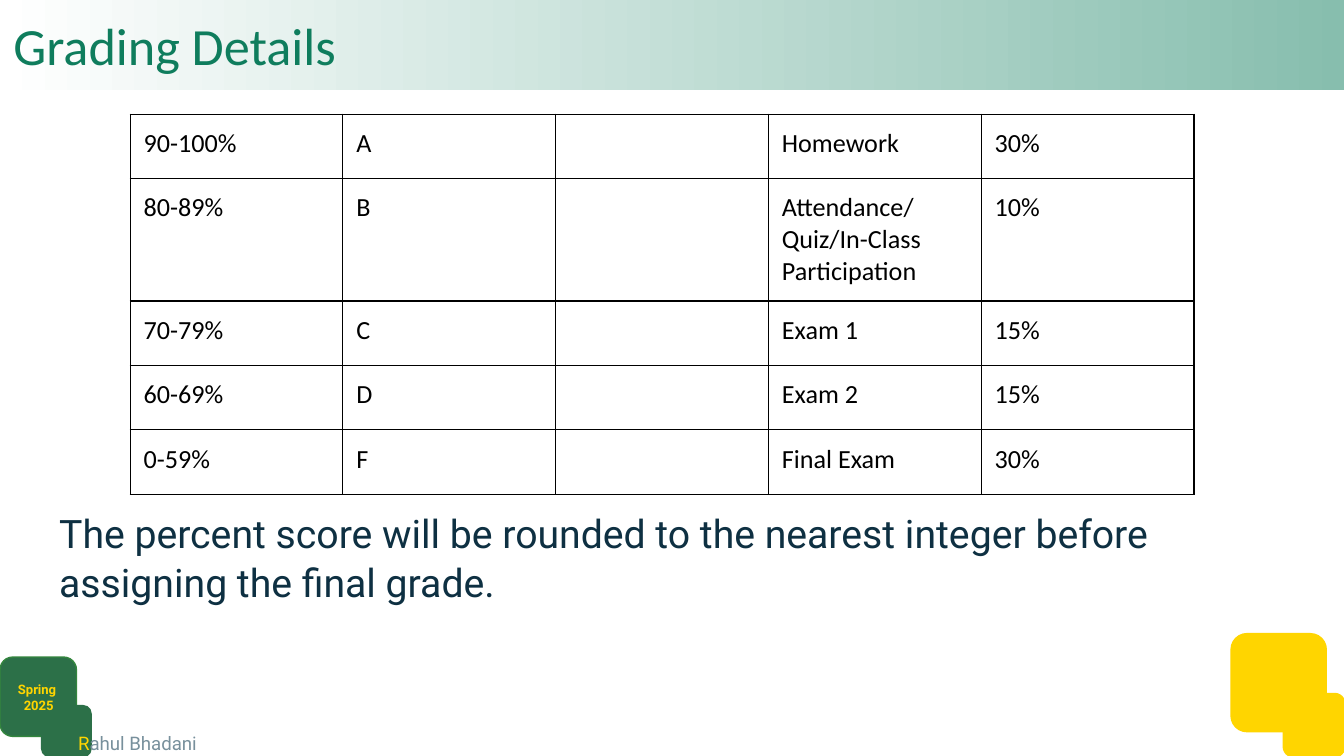
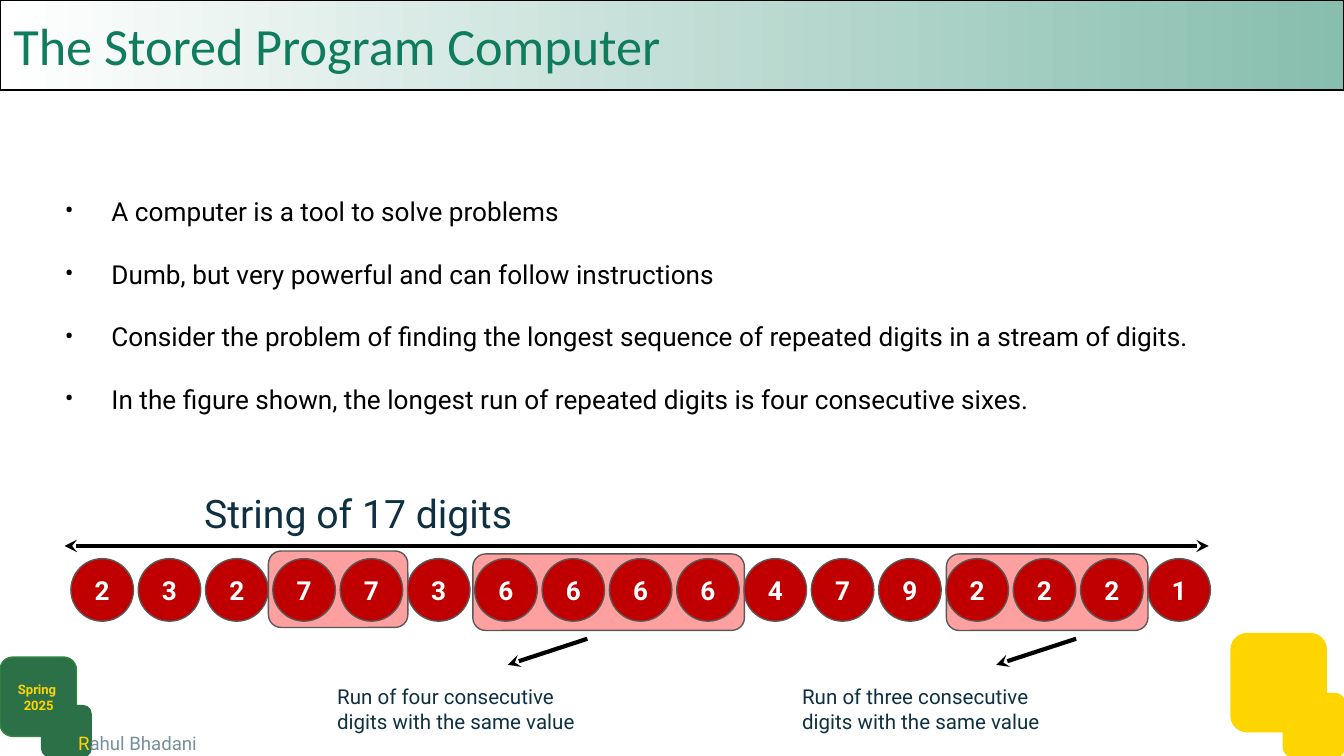
import copy
from dataclasses import dataclass
from typing import Any, NamedTuple, Optional

import lxml.etree
import pptx
import pptx.dml.color
import pptx.enum.shapes
import pptx.enum.text
import pptx.oxml.ns
import pptx.util

Pt = pptx.util.Pt
RGBColor = pptx.dml.color.RGBColor
MSO_SHAPE = pptx.enum.shapes.MSO_SHAPE
PP_ALIGN = pptx.enum.text.PP_ALIGN
MSO_ANCHOR = pptx.enum.text.MSO_ANCHOR
qn = pptx.oxml.ns.qn

GREEN = RGBColor(0x0F, 0x7D, 0x5D)
MINT = RGBColor(0x87, 0xBE, 0xAE)
LEAF = RGBColor(0x2C, 0x70, 0x48)
LEAF_EDGE = RGBColor(0x34, 0x86, 0x3E)
YELLOW = RGBColor(0xFF, 0xD5, 0x00)
SLATE = RGBColor(0x78, 0x90, 0x9C)
NAVY = RGBColor(0x0E, 0x30, 0x42)
PINK = RGBColor(0xFF, 0xA0, 0xA0)
RED = RGBColor(0xC0, 0x00, 0x00)
GREY = RGBColor(0x59, 0x59, 0x59)
BLACK = RGBColor(0, 0, 0)
WHITE = RGBColor(0xFF, 0xFF, 0xFF)

WIDTH, HEIGHT = 720, 405
INSET = Pt(7.2)


class Box(NamedTuple):
    left: float
    top: float
    width: float
    height: float

    def lengths(self) -> list[int]:
        return [Pt(v) for v in self]


@dataclass(frozen=True)
class TextStyle:
    size: float
    color: RGBColor
    name: str = "Roboto"
    bold: bool = False


@dataclass(frozen=True)
class Panel:
    box: Box
    kind: Any
    fill: RGBColor
    line: RGBColor


@dataclass(frozen=True)
class Callout:
    text: str
    box: Box
    start: tuple[float, float]
    end: tuple[float, float]


TITLE_BOX = Box(0, 0, WIDTH, 48.24)
TITLE = TextStyle(28, GREEN, "Calibri")
CELL = TextStyle(14, BLACK, "Calibri")
LEAD = TextStyle(21, NAVY)
BULLET = TextStyle(14, BLACK)
NOTE = TextStyle(11, NAVY)
DIGIT = TextStyle(14, WHITE, bold=True)
TERM = TextStyle(7, YELLOW, bold=True)
INITIAL = TextStyle(10, YELLOW)
AUTHOR = TextStyle(10, SLATE)

TILE = MSO_SHAPE.FLOWCHART_ALTERNATE_PROCESS
YELLOW_TILES = [
    Panel(Box(659.5, 339.5, 51, 52.5), TILE, YELLOW, YELLOW),
    Panel(Box(687.5, 371.5, 33, 34), TILE, YELLOW, YELLOW),
]
GREEN_TILES = [
    Panel(Box(0, 352, 41, 42.5), TILE, LEAF, LEAF_EDGE),
    Panel(Box(22.3, 378, 26.5, 27.4), TILE, LEAF, LEAF),
]

GRADES = [
    ("90-100%", "A", "", "Homework", "30%"),
    ("80-89%", "B", "", "Attendance/Quiz/In-Class Participation", "10%"),
    ("70-79%", "C", "", "Exam 1", "15%"),
    ("60-69%", "D", "", "Exam 2", "15%"),
    ("0-59%", "F", "", "Final Exam", "30%"),
]
ROW_HEIGHTS = [34.5, 65.4, 34.5, 34.5, 34.5]
COLUMN_WIDTH = 114

POINTS = [
    "A computer is a tool to solve problems",
    "Dumb, but very powerful and can follow instructions",
    "Consider the problem of finding the longest sequence of repeated digits "
    "in a stream of digits.",
    "In the figure shown, the longest run of repeated digits is four "
    "consecutive sixes.",
]
DIGITS = "23277366664792221"
DIGIT_LEFT, DIGIT_TOP, DIGIT_SIZE, DIGIT_PITCH = 38, 299.3, 33.5, 36.06
RUN_BOXES = [
    Box(507, 296.8, 108, 41),
    Box(253.3, 296.8, 145.5, 41),
    Box(143.8, 295.2, 74.7, 41),
]
CALLOUTS = [
    Callout("Run of four consecutive digits with the same value",
            Box(173.5, 359.3, 156, 29), (314.7, 342.2), (272, 356.2)),
    Callout("Run of three consecutive digits with the same value",
            Box(422.6, 359.3, 156, 29), (576.5, 342.2), (533.7, 356.2)),
]


def set_format(obj: Any, values: dict[str, Any]) -> None:
    for name, value in values.items():
        setattr(obj, name, value)


def add_run(p: Any, text: str, style: TextStyle) -> None:
    r = p.add_run()
    r.text = text
    set_format(r.font, {"size": Pt(style.size), "name": style.name, "bold": style.bold})
    r.font.color.rgb = style.color


def prepare_frame(sp: Any, anchor: Any = MSO_ANCHOR.TOP) -> Any:
    tf = sp.text_frame
    set_format(tf, {
        "word_wrap": True, "auto_size": pptx.enum.text.MSO_AUTO_SIZE.NONE,
        "vertical_anchor": anchor, "margin_left": INSET, "margin_right": INSET,
        "margin_top": INSET, "margin_bottom": INSET,
    })
    return tf


def place(sp: Any, box: Box) -> None:
    set_format(sp, dict(zip(("left", "top", "width", "height"), box.lengths())))


def add_panel(shapes: Any, panel: Panel) -> Any:
    sp = shapes.add_shape(panel.kind, *panel.box.lengths())
    sp.shadow.inherit = False
    sp.fill.solid()
    sp.fill.fore_color.rgb = panel.fill
    sp.line.color.rgb = panel.line
    sp.line.width = Pt(0.75)
    return sp


def add_label(shapes: Any, box: Box, *runs: tuple[str, TextStyle]) -> Any:
    tf = prepare_frame(shapes.add_textbox(*box.lengths()))
    for text, style in runs:
        add_run(tf.paragraphs[0], text, style)
    return tf


def add_arrow(s: Any, start: tuple[float, float], end: tuple[float, float],
              both_ends: bool = False) -> None:
    ends = [Pt(v) for v in (*start, *end)]
    line = s.shapes.add_connector(pptx.enum.shapes.MSO_CONNECTOR.STRAIGHT, *ends)
    line.line.color.rgb = BLACK
    line.line.width = Pt(2.25)
    ln = line.element.find(".//" + qn("a:ln"))
    for tag in ("a:headEnd", "a:tailEnd") if both_ends else ("a:tailEnd",):
        lxml.etree.SubElement(ln, qn(tag), type="stealth")
    lxml.etree.SubElement(ln.getparent(), qn("a:effectLst"))


def decorate_layout(layout: Any, s: Any) -> None:
    """Draw the corner tiles on a slide, then move them to its layout."""
    yellow = s.shapes.add_group_shape()
    green = s.shapes.add_group_shape()
    for group, panels in ((yellow, YELLOW_TILES), (green, GREEN_TILES)):
        for panel in panels:
            add_panel(group.shapes, panel)
    add_label(green.shapes, Box(34.8, 385, 89, 21), ("R", INITIAL), ("ahul Bhadani", AUTHOR))
    tf = add_label(green.shapes, Box(0, 358, 41.5, 21), ("Spring ", TERM))
    add_run(tf.add_paragraph(), "2025", TERM)
    for p in tf.paragraphs:
        p.alignment = PP_ALIGN.CENTER

    for ph in list(layout.placeholders):
        if ph.placeholder_format.idx > 1:
            ph.element.getparent().remove(ph.element)
    place(layout.placeholders[0], TITLE_BOX)
    place(layout.placeholders[1], Box(24.5, 90, 671, 240))
    for group in (yellow, green):
        layout.shapes.element.append(group.element)
    for number, item in enumerate(layout.shapes.element.iter(qn("p:cNvPr")), 1):
        item.set("id", str(number))


def fill_title(s: Any, text: str, line: Optional[RGBColor] = None) -> None:
    sp = s.shapes.title
    place(sp, TITLE_BOX)
    sp.fill.gradient()
    sp.fill.gradient_angle = 0
    stop_list = sp.element.find(".//" + qn("a:gsLst"))
    stop_list.append(copy.deepcopy(stop_list[-1]))
    for stop, position, color in zip(sp.fill.gradient_stops, (0, 1, 1), (WHITE, MINT, GREEN)):
        stop.position = position
        stop.color.rgb = color
    if line is not None:
        sp.line.color.rgb = line
        sp.line.width = Pt(1.5)
    p = prepare_frame(sp).paragraphs[0]
    p.alignment = PP_ALIGN.LEFT
    add_run(p, text, TITLE)


def fill_body(s: Any, box: Box, texts: list[str], style: TextStyle,
              spacing: float, bulleted: bool = False) -> None:
    sp = s.placeholders[1]
    place(sp, box)
    tf = prepare_frame(sp)
    for i, text in enumerate(texts):
        p = tf.add_paragraph() if i else tf.paragraphs[0]
        set_format(p, {
            "alignment": PP_ALIGN.JUSTIFY if bulleted else PP_ALIGN.LEFT,
            "line_spacing": spacing, "space_before": Pt(10 if i else 0),
            "space_after": Pt(10 if i == len(texts) - 1 else 0),
        })
        add_run(p, text, style)
    for props in sp.element.iter(qn("a:pPr")):
        props.set("marL", str(Pt(28 if bulleted else 0)))
        props.set("indent", str(Pt(-25 if bulleted else 0)))
        if bulleted:
            color = lxml.etree.SubElement(props, qn("a:buClr"))
            lxml.etree.SubElement(color, qn("a:srgbClr"), val=str(style.color))
            lxml.etree.SubElement(props, qn("a:buFont"), typeface=style.name)
            lxml.etree.SubElement(props, qn("a:buChar"), char="•")
        else:
            lxml.etree.SubElement(props, qn("a:buNone"))


def add_grade_table(s: Any) -> None:
    columns = len(GRADES[0])
    box = Box(69.7, 61.2, COLUMN_WIDTH * columns, sum(ROW_HEIGHTS))
    frame = s.shapes.add_table(len(GRADES), columns, *box.lengths())
    table = frame.table
    set_format(table, {"first_row": False, "horz_banding": False})
    for column in table.columns:
        column.width = Pt(COLUMN_WIDTH)
    for row, height, values in zip(table.rows, ROW_HEIGHTS, GRADES):
        row.height = Pt(height)
        for cell, text in zip(row.cells, values):
            set_format(cell, {f"margin_{side}": INSET
                              for side in ("left", "right", "top", "bottom")})
            cell.fill.background()
            if text:
                add_run(cell.text_frame.paragraphs[0], text, CELL)
    for paragraph in frame.element.iter(qn("a:p")):
        if len(paragraph) == 0:
            lxml.etree.SubElement(paragraph, qn("a:endParaRPr"), sz=str(CELL.size * 100))
    for props in frame.element.iter(qn("a:tcPr")):
        for i, tag in enumerate(("a:lnL", "a:lnR", "a:lnT", "a:lnB")):
            ln = lxml.etree.Element(qn(tag), w=str(Pt(0.75)))
            fill = lxml.etree.SubElement(ln, qn("a:solidFill"))
            lxml.etree.SubElement(fill, qn("a:srgbClr"), val=str(BLACK))
            props.insert(i, ln)


def add_digit_stream(s: Any) -> None:
    for box in RUN_BOXES:
        add_panel(s.shapes, Panel(box, MSO_SHAPE.ROUNDED_RECTANGLE, PINK, GREY))
    add_arrow(s, (34.6, 292.5), (647.5, 292.5), both_ends=True)
    add_label(s.shapes, Box(102.3, 254.9, 224, 33), ("String of 17 digits", LEAD))
    for i, digit in enumerate(DIGITS):
        box = Box(DIGIT_LEFT + i * DIGIT_PITCH, DIGIT_TOP, DIGIT_SIZE, DIGIT_SIZE)
        sp = add_panel(s.shapes, Panel(box, MSO_SHAPE.OVAL, RED, GREY))
        p = prepare_frame(sp, MSO_ANCHOR.MIDDLE).paragraphs[0]
        p.alignment = PP_ALIGN.CENTER
        add_run(p, digit, DIGIT)
    for callout in CALLOUTS:
        add_arrow(s, callout.start, callout.end)
        add_label(s.shapes, callout.box, (callout.text, NOTE))


def main() -> None:
    prs = pptx.Presentation()
    set_format(prs, {"slide_width": Pt(WIDTH), "slide_height": Pt(HEIGHT)})
    layout = prs.slide_layouts[1]
    grading, stored = (prs.slides.add_slide(layout) for _ in range(2))
    decorate_layout(layout, grading)

    fill_title(grading, "Grading Details")
    fill_body(grading, Box(24.5, 264.2, 671, 68.4),
              ["The percent score will be rounded to the nearest integer before "
               "assigning the final grade."], LEAD, 1.05)
    add_grade_table(grading)

    fill_title(stored, "The Stored Program Computer", BLACK)
    fill_body(stored, Box(24.5, 90.7, 671, 135.4), POINTS, BULLET, 1.4, bulleted=True)
    add_digit_stream(stored)
    prs.save("out.pptx")


if __name__ == "__main__":
    main()
